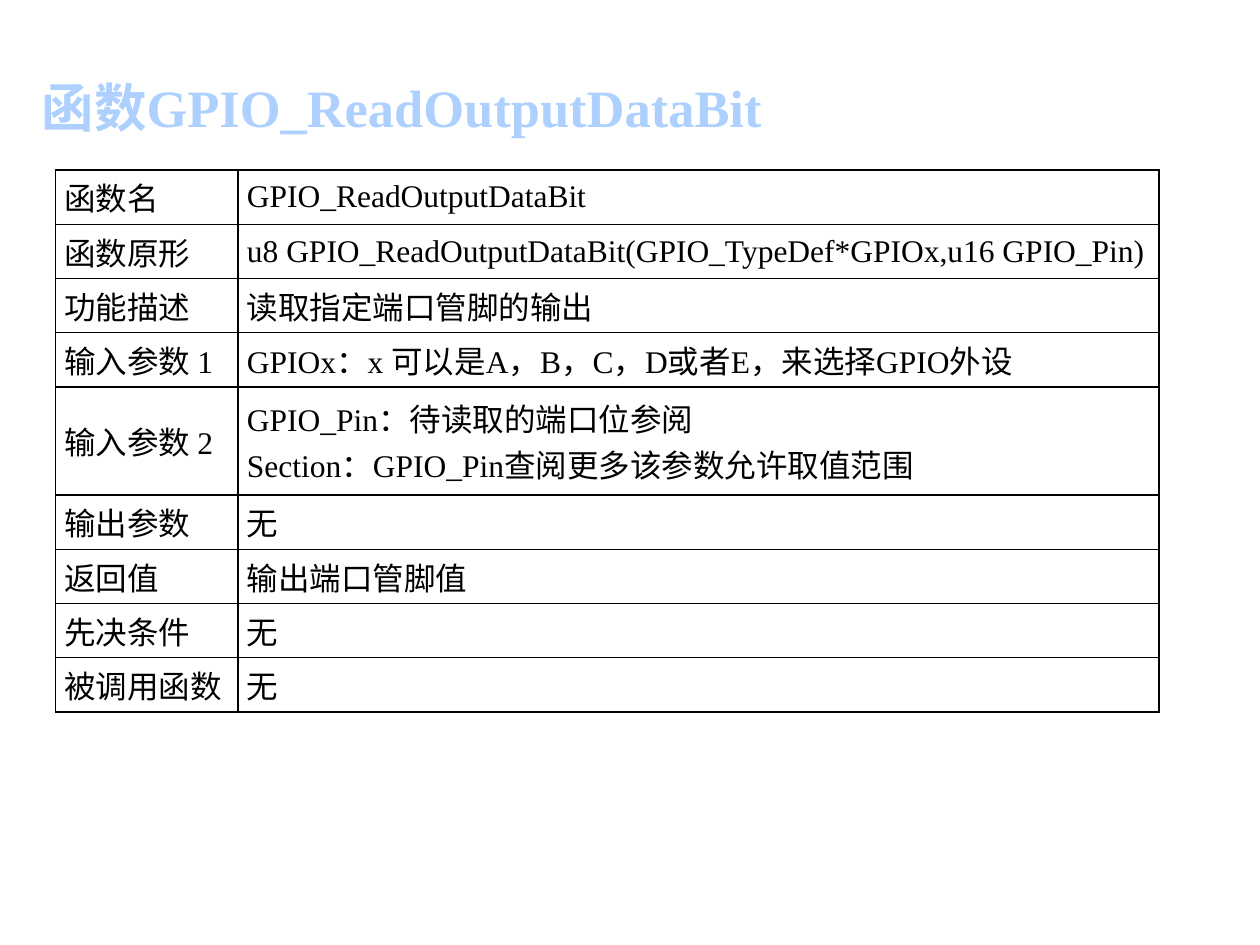
from lxml import etree
from pptx import Presentation
from pptx.dml.color import RGBColor
from pptx.enum.text import MSO_ANCHOR, PP_ALIGN
from pptx.oxml.ns import qn
from pptx.util import Inches, Pt

MIDDLE = MSO_ANCHOR.MIDDLE
LEFT = PP_ALIGN.LEFT
JUSTIFY = PP_ALIGN.JUSTIFY
BLACK = RGBColor(0x00, 0x00, 0x00)
SKY = RGBColor(0xAD, 0xD0, 0xFF)
FONT = "Times New Roman"
TITLE_ONLY = 5
ROW_HEIGHT = 0.43
COLUMN_WIDTHS = (1.45, 7.31)
BORDERS = ("a:lnL", "a:lnR", "a:lnT", "a:lnB")

TITLE = "函数GPIO_ReadOutputDataBit"
ROWS = [
    ("函数名", "GPIO_ReadOutputDataBit"),
    ("函数原形", "u8 GPIO_ReadOutputDataBit(GPIO_TypeDef*GPIOx,u16 GPIO_Pin)"),
    ("功能描述", "读取指定端口管脚的输出"),
    ("输入参数 1", "GPIOx：x 可以是A，B，C，D或者E，来选择GPIO外设"),
    ("输入参数 2", "GPIO_Pin：待读取的端口位参阅\nSection：GPIO_Pin查阅更多该参数允许取值范围"),
    ("输出参数", "无"),
    ("返回值", "输出端口管脚值"),
    ("先决条件", "无"),
    ("被调用函数", "无"),
]


def format_text(frame, size, color, alignment, bold=False):
    for para in frame.paragraphs:
        para.alignment = alignment
        for span in para.runs:
            span.font.name = FONT
            span.font.size = Pt(size)
            span.font.bold = bold
            span.font.color.rgb = color


def add_title(page):
    title = page.shapes.title
    title.left, title.top = Inches(0.23), Inches(0.54)
    title.width, title.height = Inches(8.17), Inches(0.61)
    frame = title.text_frame
    frame.text = TITLE
    frame.vertical_anchor = MIDDLE
    format_text(frame, 30, SKY, LEFT, bold=True)


def add_borders(cell):
    properties = cell._tc.get_or_add_tcPr()
    for position, tag in enumerate(BORDERS):
        line = etree.Element(qn(tag), w=str(Pt(1)))
        fill = etree.SubElement(line, qn("a:solidFill"))
        etree.SubElement(fill, qn("a:srgbClr"), val=str(BLACK))
        properties.insert(position, line)


def fill_cell(cell, text):
    cell.text_frame.text = text
    cell.vertical_anchor = MIDDLE
    cell.margin_left = cell.margin_right = Inches(0.07)
    cell.margin_top = cell.margin_bottom = 0
    cell.fill.background()
    format_text(cell.text_frame, 18, BLACK, JUSTIFY)
    add_borders(cell)


def add_function_table(page):
    line_counts = [description.count("\n") + 1 for _, description in ROWS]
    table = page.shapes.add_table(
        len(ROWS), len(COLUMN_WIDTHS), Inches(0.44), Inches(1.35),
        Inches(sum(COLUMN_WIDTHS)), Inches(ROW_HEIGHT * sum(line_counts)),
    ).table
    table.first_row = table.horz_banding = False
    for column, width in zip(table.columns, COLUMN_WIDTHS):
        column.width = Inches(width)
    for row, texts, lines in zip(table.rows, ROWS, line_counts):
        row.height = Inches(ROW_HEIGHT * lines)
        for cell, text in zip(row.cells, texts):
            fill_cell(cell, text)


def main():
    deck = Presentation()
    deck.slide_width, deck.slide_height = Inches(10), Inches(7.5)
    page = deck.slides.add_slide(deck.slide_layouts[TITLE_ONLY])
    add_title(page)
    add_function_table(page)
    deck.save("out.pptx")


if __name__ == "__main__":
    main()
